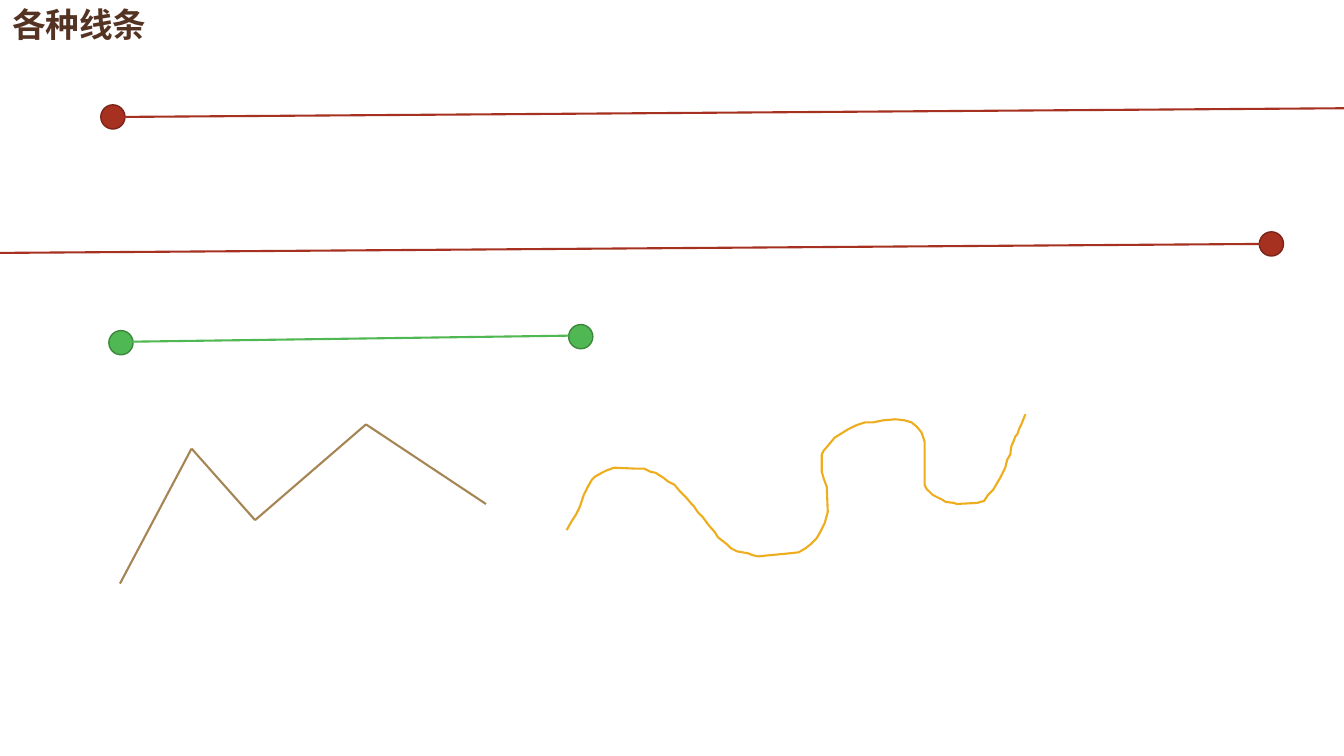
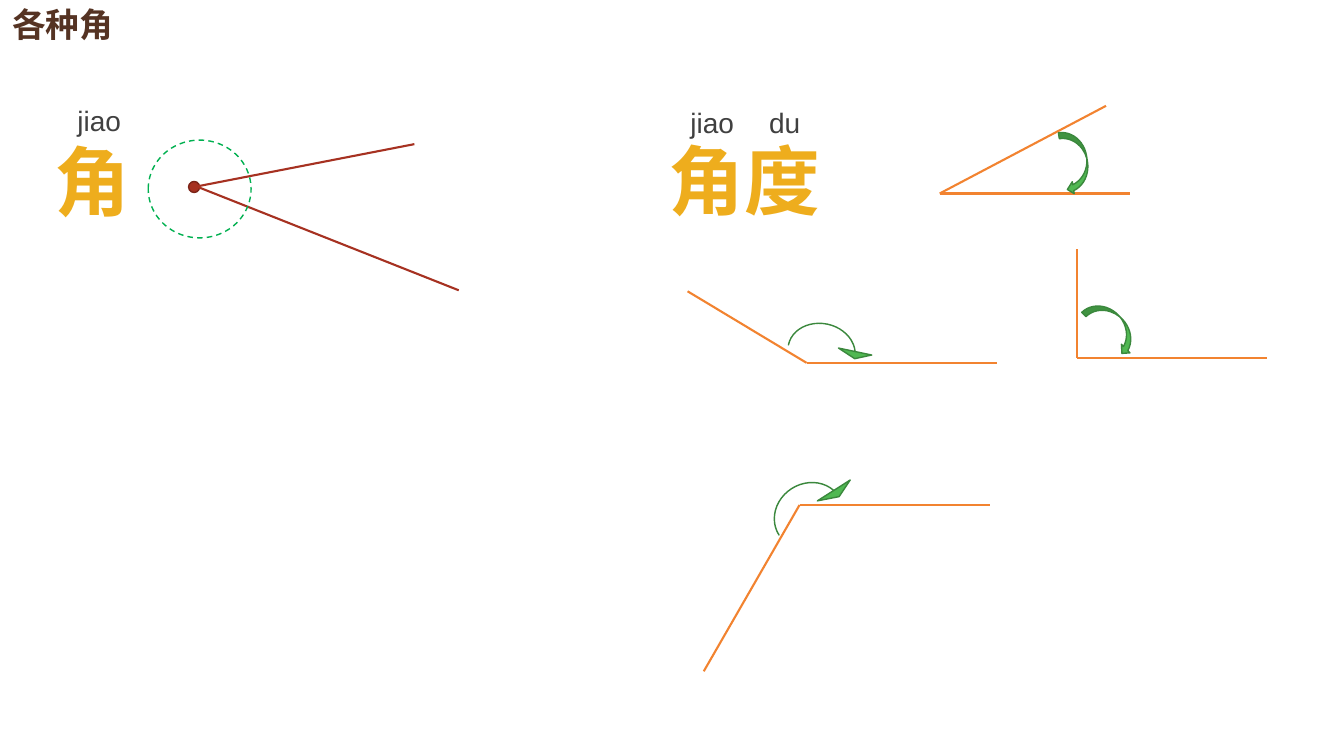
import itertools
import lxml.etree
import pptx
import pptx.dml.color
import pptx.enum.dml
import pptx.enum.shapes
import pptx.enum.text
import pptx.oxml
import pptx.oxml.ns
import pptx.util

Inches = pptx.util.Inches
Pt = pptx.util.Pt
RGB = pptx.dml.color.RGBColor
Kind = pptx.enum.shapes.MSO_SHAPE
Align = pptx.enum.text.PP_ALIGN
qn = pptx.oxml.ns.qn

BROWN = RGB(0x55, 0x33, 0x23)
RED = RGB(0xA6, 0x31, 0x21)
MAROON = RGB(0x7B, 0x24, 0x18)
GREEN = RGB(0x50, 0xB8, 0x52)
FOREST = RGB(0x3B, 0x88, 0x3D)
EMERALD = RGB(0x00, 0xB0, 0x50)
TAN = RGB(0xA6, 0x85, 0x55)
GOLD = RGB(0xEE, 0xAD, 0x1D)
ORANGE = RGB(0xF2, 0x83, 0x30)
GREY = RGB(0x40, 0x40, 0x40)
CJK = "Noto Sans CJK SC"
OUTLINE = (
    '<a:ln xmlns:a="http://schemas.openxmlformats.org/drawingml/2006/main" w="9525">'
    '<a:solidFill><a:srgbClr val="FFFFFF"/></a:solidFill></a:ln>'
)


def line(shapes, start, end, color):
    ends = [Inches(v) for v in (*start, *end)]
    link = shapes.add_connector(pptx.enum.shapes.MSO_CONNECTOR.STRAIGHT, *ends)
    link.line.color.rgb = color
    link.line.width = Pt(1.5)
    lxml.etree.SubElement(link._element.spPr, qn("a:effectLst"))


def shape(shapes, kind, box, fill, edge):
    """Add a preset shape; a fill of None leaves it hollow."""
    item = shapes.add_shape(kind, *[Inches(v) for v in box])
    item.shadow.inherit = False
    if fill is None:
        item.fill.background()
    else:
        item.fill.solid()
        item.fill.fore_color.rgb = fill
    item.line.color.rgb = edge
    item.line.width = Pt(1)
    return item


deck = pptx.Presentation()
deck.slide_width = Inches(13.33)
deck.slide_height = Inches(7.5)

pages = []
for name in ("各种线条", "各种角"):
    page = deck.slides.add_slide(deck.slide_layouts[5])
    title = page.shapes.title
    title.left, title.top = Inches(0.02), Inches(0.13)
    title.width, title.height = Inches(1.71), Inches(0.36)
    frame = title.text_frame
    frame.text = name
    frame.auto_size = pptx.enum.text.MSO_AUTO_SIZE.NONE
    frame.vertical_anchor = pptx.enum.text.MSO_ANCHOR.BOTTOM
    para = frame.paragraphs[0]
    para.alignment = Align.LEFT
    para.line_spacing = 0.9
    run = para.runs[0]
    run.font.name = CJK
    run.font.size = Pt(24)
    run.font.bold = True
    run.font.color.rgb = BROWN
    east = lxml.etree.SubElement(run.font._element, qn("a:ea"))
    east.set("typeface", CJK)
    pages.append(page.shapes)
lines, angles = pages

# Rays and a segment with their end points
dots = [
    (1, 1.04, RED, MAROON),
    (12.49, 2.3, RED, MAROON),
    (1.08, 3.28, GREEN, FOREST),
    (5.64, 3.22, GREEN, FOREST),
]
for x, y, fill, edge in dots:
    shape(lines, Kind.OVAL, (x, y, 0.24, 0.24), fill, edge)
line(lines, (1.23, 1.16), (13.91, 1.07), RED)
line(lines, (-0.12, 2.51), (12.55, 2.42), RED)
line(lines, (1.31, 3.39), (5.64, 3.33), GREEN)

# Zigzag
zigzag = lines.add_group_shape().shapes
bends = [(1.19, 5.79), (1.9, 4.45), (2.53, 5.16), (3.63, 4.21), (4.82, 5)]
for start, end in itertools.pairwise(bends):
    line(zigzag, start, end, TAN)

# Wavy line, in hundredths of an inch
wave = [
    (562, 526), (567, 517), (571, 511), (575, 503), (577, 497), (579, 491),
    (583, 483), (587, 476), (590, 473), (597, 469), (601, 467), (609, 464),
    (632, 465), (639, 465), (645, 468), (650, 469), (658, 474), (663, 478),
    (669, 481), (674, 487), (680, 493), (685, 499), (688, 502), (692, 508),
    (697, 513), (702, 520), (709, 528), (712, 533), (721, 540), (725, 544),
    (731, 547), (742, 549), (747, 551), (752, 552), (762, 551), (783, 549),
    (792, 548), (799, 544), (804, 540), (810, 534), (814, 527), (818, 519),
    (821, 508), (820, 483), (817, 475), (815, 468), (815, 451), (817, 447),
    (823, 440), (828, 434), (833, 431), (841, 426), (849, 422), (858, 419),
    (866, 419), (876, 417), (888, 416), (897, 417), (904, 419), (909, 423),
    (914, 429), (917, 438), (917, 481), (919, 485), (925, 491), (935, 496),
    (938, 498), (946, 499), (949, 500), (969, 499), (976, 497), (980, 491),
    (985, 486), (992, 474), (997, 464), (999, 456), (1002, 451), (1003, 443),
    (1006, 436), (1007, 433), (1009, 431), (1011, 425), (1013, 421), (1017, 411),
]
pen = lines.build_freeform(*wave[0], scale=Inches(0.01))
pen.add_line_segments(wave[1:], close=False)
curve = pen.convert_to_shape()
curve.shadow.inherit = False
curve.fill.background()
curve.line.color.rgb = GOLD
curve.line.width = Pt(1.5)

# Angle with its vertex ringed
shape(angles, Kind.OVAL, (1.87, 1.8, 0.11, 0.11), RED, MAROON)
for end in ((4.11, 1.43), (4.55, 2.88)):
    line(angles, (1.95, 1.85), end, RED)
ring = shape(angles, Kind.OVAL, (1.47, 1.39, 1.02, 0.97), None, EMERALD)
ring.line.dash_style = pptx.enum.dml.MSO_LINE.DASH

# Words and their pinyin
words = [
    ("角", (0.44, 1.29, 0.96, 1.01), True),
    ("角度", (6.52, 1.28, 1.72, 1.01), True),
    ("jiao", (0.67, 0.98, 0.64, 0.44), False),
    ("jiao", (6.75, 1, 0.64, 0.44), False),
    ("du", (7.53, 1, 0.64, 0.44), False),
]
for text, box, big in words:
    frame = angles.add_textbox(*[Inches(v) for v in box]).text_frame
    frame.text = text
    frame.word_wrap = not big
    frame.auto_size = pptx.enum.text.MSO_AUTO_SIZE.SHAPE_TO_FIT_TEXT
    para = frame.paragraphs[0]
    para.alignment = Align.CENTER if big else Align.LEFT
    font = para.runs[0].font
    font.name = "Arial"
    font.size = Pt(54 if big else 20)
    font.bold = big
    font.color.rgb = GOLD if big else GREY
    if big:
        font._element.insert(0, pptx.oxml.parse_xml(OUTLINE))

# Acute, right, obtuse and reflex: vertex, far end, arrow box, turn, thin arrow
kinds = [
    ((9.32, 1.92), (10.97, 1.05), (10.35, 1.49, 0.63, 0.24), 81, False),
    ((10.68, 3.55), (10.68, 2.47), (10.72, 3.12, 0.63, 0.24), 45.6, False),
    ((8, 3.6), (6.82, 2.89), (7.84, 3.23, 0.84, 0.28), 11.8, True),
    ((7.93, 5.01), (6.98, 6.66), (7.57, 4.77, 0.9, 0.32), 327.5, True),
]
for vertex, end, box, turn, thin in kinds:
    x, y = vertex
    line(angles, vertex, (x + 1.89, y), ORANGE)
    line(angles, vertex, end, ORANGE)
    arrow = shape(angles, Kind.CURVED_DOWN_ARROW, box, GREEN, FOREST)
    arrow.rotation = turn
    if thin:
        arrow.adjustments[0] = 0
        arrow.adjustments[1] = 1.206

deck.save("out.pptx")
